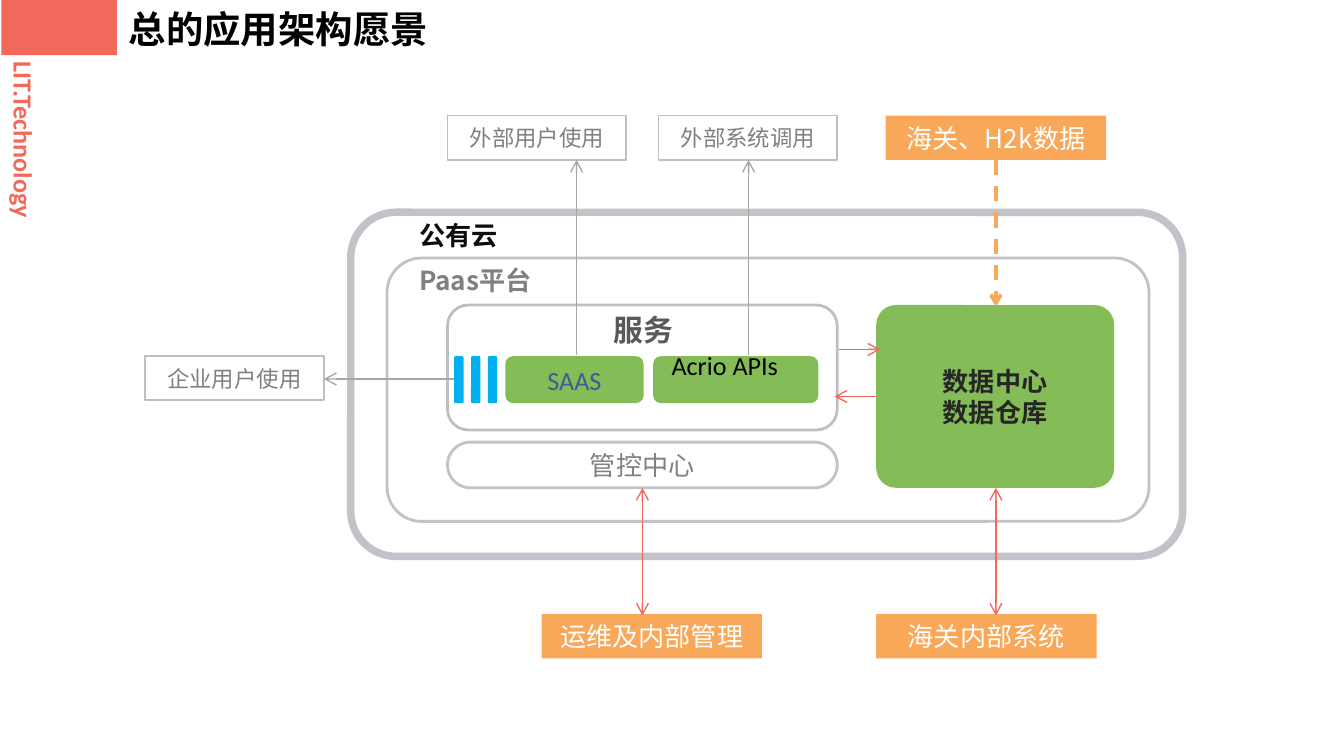
from lxml.etree import SubElement
from pptx import Presentation
from pptx.dml.color import RGBColor
from pptx.enum.dml import MSO_LINE
from pptx.enum.shapes import MSO_CONNECTOR, MSO_SHAPE
from pptx.enum.text import MSO_ANCHOR as Anchor, PP_ALIGN as Align
from pptx.oxml.ns import qn
from pptx.util import Inches, Pt

CORAL = RGBColor(0xF2, 0x68, 0x5A)
ORANGE = RGBColor(0xF9, 0xA7, 0x59)
GREEN = RGBColor(0x84, 0xBD, 0x57)
CYAN = RGBColor(0x00, 0xB0, 0xF0)
NAVY = RGBColor(0x37, 0x60, 0x92)
WHITE = RGBColor(0xFF, 0xFF, 0xFF)
BLACK = RGBColor(0x00, 0x00, 0x00)
INK = RGBColor(0x0D, 0x0D, 0x0D)
CHARCOAL = RGBColor(0x26, 0x26, 0x26)
DARK_GRAY = RGBColor(0x59, 0x59, 0x59)
GRAY = RGBColor(0x80, 0x80, 0x80)
ARROW_GRAY = RGBColor(0xA6, 0xA6, 0xA6)
BORDER = RGBColor(0xBF, 0xBF, 0xBF)
FRAME = RGBColor(0xC2, 0xC2, 0xC9)
CJK, LATIN = "Noto Sans CJK SC", "Calibri"
RECT, ROUND = MSO_SHAPE.RECTANGLE, MSO_SHAPE.ROUNDED_RECTANGLE


def write(shape, lines, size, color, bold=False, font=CJK,
          align=Align.CENTER, anchor=Anchor.MIDDLE):
    frame = shape.text_frame
    frame.word_wrap = True
    frame.vertical_anchor = anchor
    for index, line in enumerate(lines):
        para = frame.add_paragraph() if index else frame.paragraphs[0]
        para.alignment = align
        span = para.add_run()
        span.text = line
        span.font.size, span.font.bold = Pt(size), bold
        span.font.name, span.font.color.rgb = font, color
        east_asian = SubElement(span.font._element, qn("a:ea"))
        east_asian.set("typeface", font)


def add_box(page, box, kind=RECT, fill=None, line=None, width=1, corner=None):
    shape = page.shapes.add_shape(kind, *map(Inches, box))
    shape.shadow.inherit = False
    if corner is not None:
        shape.adjustments[0] = corner
    if fill is None:
        shape.fill.background()
    else:
        shape.fill.solid()
        shape.fill.fore_color.rgb = fill
    if line is None:
        shape.line.fill.background()
    else:
        shape.line.color.rgb = line
        shape.line.width = Pt(width)
    return shape


def add_label(page, box, text, size, color, font=CJK, align=Align.LEFT):
    label = page.shapes.add_textbox(*map(Inches, box))
    write(label, [text], size, color, True, font, align, Anchor.TOP)
    return label


def add_arrow(page, start, end, color, width=0.75, dashed=False, both=False):
    arrow = page.shapes.add_connector(
        MSO_CONNECTOR.STRAIGHT, *map(Inches, (*start, *end)))
    arrow.line.color.rgb = color
    arrow.line.width = Pt(width)
    if dashed:
        arrow.line.dash_style = MSO_LINE.DASH
    outline = arrow.line._get_or_add_ln()
    for name in ("a:headEnd", "a:tailEnd") if both else ("a:tailEnd",):
        SubElement(outline, qn(name)).set("type", "arrow")
    SubElement(arrow._element.spPr, qn("a:effectLst"))


def add_header(page, box):
    left, top, width, height = box
    add_box(page, (left, top, 0.86, height), fill=CORAL)
    add_label(page, (left + 0.85, top, 4.68, 0.79),
              "总的应用架构愿景", 20, BLACK)
    # Company name running down the left edge
    brand = add_label(page, (left - 0.57, top + 0.87, 1.47, 0.34),
                      "LIT.Technology", 14, CORAL, LATIN, Align.CENTER)
    brand.text_frame.margin_left = brand.text_frame.margin_right = 0
    brand.rotation = 90


def add_cloud(page, box):
    left, top, width, height = box
    add_box(page, box, ROUND, WHITE, FRAME, 4, 0.131)
    add_box(page, (left + 0.27, top + 0.34, width - 0.52, height - 0.6),
            ROUND, line=FRAME, width=1.5, corner=0.131)
    for offset, text, color in ((0, "公有云", INK), (0.34, "Paas平台", GRAY)):
        add_label(page, (left + 0.41, top + offset, 1.27, 1.13),
                  text, 14, color)


def add_services(page, box):
    left, top, width, height = box
    add_box(page, box, ROUND, line=BORDER, width=1.5)
    add_label(page, (left + 0.94, top, 1.03, 0.67), "服务", 16, DARK_GRAY,
              align=Align.CENTER)
    # Three bars, then the two service tiles
    row, tall = top + 0.38, 0.35
    for index in range(3):
        add_box(page, (left + 0.05 + index * 0.125, row, 0.07, tall),
                ROUND, CYAN)
    saas = add_box(page, (left + 0.43, row, 1.03, tall), ROUND, GREEN)
    write(saas, ["SAAS"], 14, NAVY, font=LATIN)
    apis = add_box(page, (left + 1.53, row, 1.23, tall), ROUND, GREEN)
    apis.text_frame.margin_left = Inches(0.12)
    apis.text_frame.margin_bottom = Inches(0.26)
    write(apis, ["Acrio APIs"], 14, BLACK, font=LATIN, align=Align.LEFT)


def add_control_center(page, box):
    bar = add_box(page, box, ROUND, line=FRAME, width=1.5, corner=0.5)
    write(bar, ["管控中心"], 14, GRAY)


def add_data_center(page, box):
    store = add_box(page, box, ROUND, GREEN, corner=0.107)
    write(store, ["数据中心", "数据仓库"], 14, CHARCOAL, True)


def add_user(page, box, text):
    user = add_box(page, box, fill=WHITE, line=BORDER)
    write(user, [text], 12, GRAY)


def add_system(page, box, text):
    system = add_box(page, box, fill=ORANGE)
    write(system, [text], 14, WHITE)


def add_flows(page):
    # Services out to their users
    add_arrow(page, (3.38, 2.82), (2.41, 2.82), ARROW_GRAY)
    for x in (4.29, 5.57):
        add_arrow(page, (x, 2.64), (x, 1.19), ARROW_GRAY)
    # Platform to and from the internal systems
    for x in (4.78, 7.41):
        add_arrow(page, (x, 3.63), (x, 4.58), CORAL, both=True)
    # Customs data in, and exchange between services and data center
    add_arrow(page, (7.41, 1.19), (7.41, 2.28), ORANGE, 2, dashed=True)
    add_arrow(page, (6.24, 2.6), (6.55, 2.6), CORAL)
    add_arrow(page, (6.52, 2.95), (6.21, 2.95), CORAL)


def main():
    deck = Presentation()
    # Widescreen, 16 to 9
    deck.slide_width = Inches(10)
    deck.slide_height = deck.slide_width * 9 // 16
    page = deck.slides.add_slide(deck.slide_layouts[6])

    add_header(page, (0.01, 0, 5.53, 0.41))
    add_cloud(page, (2.61, 1.58, 6.19, 2.56))
    add_services(page, (3.33, 2.27, 2.9, 0.93))
    add_control_center(page, (3.33, 3.29, 2.9, 0.34))
    add_data_center(page, (6.52, 2.27, 1.77, 1.36))
    for left, top, text in ((1.08, 2.65, "企业用户使用"),
                            (3.33, 0.86, "外部用户使用"),
                            (4.9, 0.86, "外部系统调用")):
        add_user(page, (left, top, 1.33, 0.33), text)
    for left, top, text in ((4.03, 4.57, "运维及内部管理"),
                            (6.52, 4.57, "海关内部系统"),
                            (6.59, 0.86, "海关、H2k数据")):
        add_system(page, (left, top, 1.64, 0.33), text)
    add_flows(page)

    deck.save("out.pptx")


if __name__ == "__main__":
    main()
